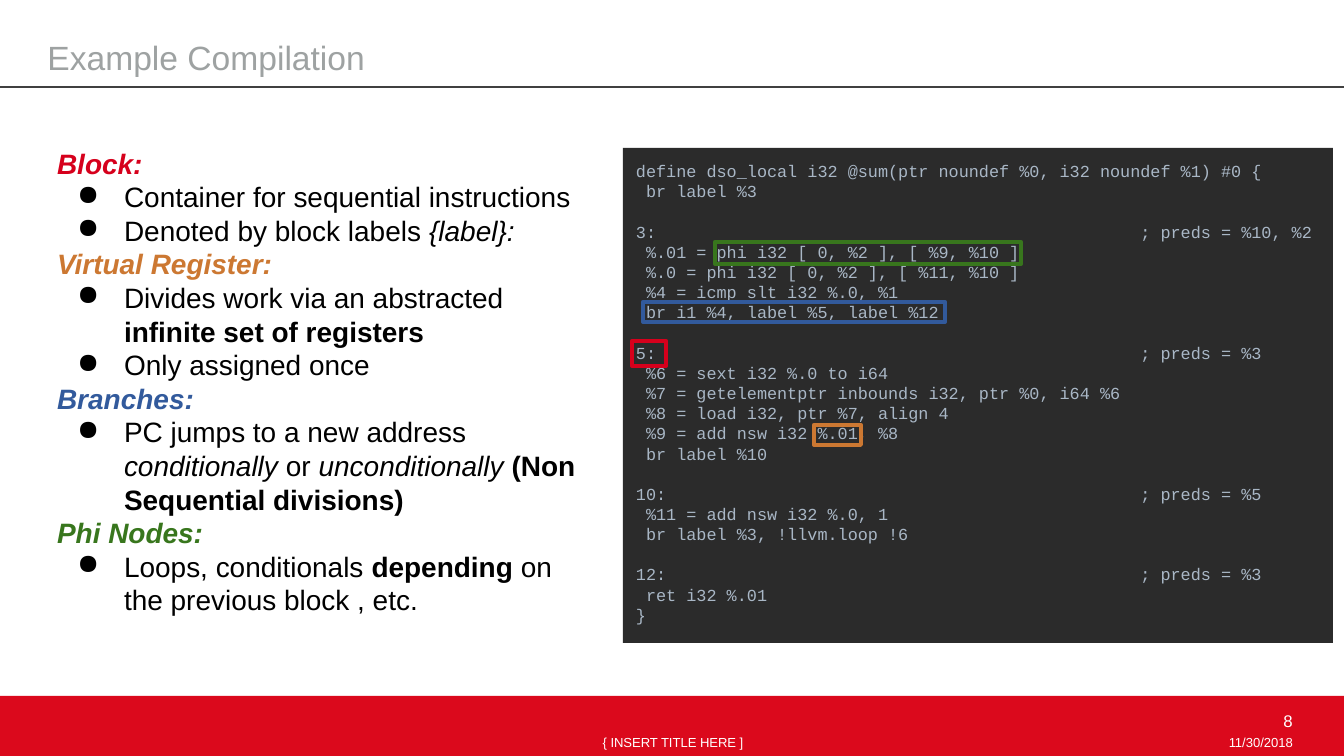
from lxml import etree
from pptx import Presentation
from pptx.dml.color import RGBColor
from pptx.enum.shapes import MSO_CONNECTOR, MSO_SHAPE
from pptx.enum.text import MSO_ANCHOR, MSO_AUTO_SIZE, PP_ALIGN
from pptx.oxml.ns import qn
from pptx.util import Pt

PX = 914400 / 134.4
LEFT, CENTER, RIGHT = PP_ALIGN.LEFT, PP_ALIGN.CENTER, PP_ALIGN.RIGHT
TOP = MSO_ANCHOR.TOP
NO_FIT = MSO_AUTO_SIZE.NONE
RECTANGLE = MSO_SHAPE.RECTANGLE
STRAIGHT = MSO_CONNECTOR.STRAIGHT

WHITE = RGBColor(0xFF, 0xFF, 0xFF)
BLACK = RGBColor(0x00, 0x00, 0x00)
GRAY = RGBColor(0x9E, 0xA2, 0xA2)
RULE = RGBColor(0x40, 0x40, 0x40)
FOOTER_RED = RGBColor(0xDB, 0x09, 0x1C)
RED = RGBColor(0xD6, 0x00, 0x1C)
ORANGE = RGBColor(0xCC, 0x78, 0x32)
BLUE = RGBColor(0x32, 0x5A, 0x9C)
GREEN = RGBColor(0x38, 0x76, 0x1D)
CODE_BACK = RGBColor(0x2B, 0x2B, 0x2B)
CODE_TEXT = RGBColor(0xA9, 0xB7, 0xC6)


def px(*values):
    return [round(value * PX) for value in values]


def write(para, text, size=15, color=BLACK, font="Arial", bold=False, italic=False):
    span = para.add_run()
    span.text = text
    span.font.size = Pt(size)
    span.font.name = font
    span.font.bold = bold
    span.font.italic = italic
    span.font.color.rgb = color


deck = Presentation()
deck.slide_width, deck.slide_height = px(1344, 756)
page = deck.slides.add_slide(deck.slide_layouts[5])
shapes = page.shapes

band = shapes.add_shape(RECTANGLE, *px(0, 696, 1344, 62))
band.shadow.inherit = False
band.fill.solid()
band.fill.fore_color.rgb = FOOTER_RED
band.line.fill.background()

for text, place, size, align in [
    ("11/30/2018", (993, 728, 313, 14), 7, RIGHT),
    ("{ INSERT TITLE HERE ]", (406, 728, 534, 46), 7, CENTER),
    ("8", (993, 704, 313, 14), 9, RIGHT),
]:
    box = shapes.add_textbox(*px(*place))
    box.text_frame.word_wrap = True
    para = box.text_frame.paragraphs[0]
    para.alignment = align
    write(para, text, size=size, color=WHITE)

rule = shapes.add_connector(STRAIGHT, *px(0, 87, 1344, 87))
rule.line.color.rgb = RULE
rule.line.width = Pt(0.75)
etree.SubElement(rule._element.spPr, qn("a:effectLst"))

title = shapes.title
title.left, title.top, title.width, title.height = px(34, 30, 1223, 58)
title.text_frame.vertical_anchor = TOP
title.text_frame.auto_size = NO_FIT
title.text_frame.paragraphs[0].alignment = LEFT
write(title.text_frame.paragraphs[0], "Example Compilation", size=18, color=GRAY)

code_lines = [
    "define dso_local i32 @sum(ptr noundef %0, i32 noundef %1) #0 {",
    " br label %3",
    "3:".ljust(50) + "; preds = %10, %2",
    " %.01 = phi i32 [ 0, %2 ], [ %9, %10 ]",
    " %.0 = phi i32 [ 0, %2 ], [ %11, %10 ]",
    " %4 = icmp slt i32 %.0, %1",
    " br i1 %4, label %5, label %12",
    "5:".ljust(50) + "; preds = %3",
    " %6 = sext i32 %.0 to i64",
    " %7 = getelementptr inbounds i32, ptr %0, i64 %6",
    " %8 = load i32, ptr %7, align 4",
    " %9 = add nsw i32 %.01, %8",
    " br label %10",
    "10:".ljust(50) + "; preds = %5",
    " %11 = add nsw i32 %.0, 1",
    " br label %3, !llvm.loop !6",
    "12:".ljust(50) + "; preds = %3",
    " ret i32 %.01",
    "}",
]
listing = shapes.add_shape(RECTANGLE, *px(623, 148, 710, 495))
listing.shadow.inherit = False
listing.fill.solid()
listing.fill.fore_color.rgb = CODE_BACK
listing.line.fill.background()

notes = [
    ("Block:", RED, [
        [("Container for sequential instructions", {})],
        [("Denoted by block labels ", {}), ("{label}:", {"italic": True})],
    ]),
    ("Virtual Register:", ORANGE, [
        [("Divides work via an abstracted ", {}),
         ("infinite set of registers", {"bold": True})],
        [("Only assigned once", {})],
    ]),
    ("Branches:", BLUE, [
        [("PC jumps to a new address ", {}),
         ("conditionally ", {"italic": True}),
         ("or ", {}),
         ("unconditionally ", {"italic": True}),
         ("(Non Sequential divisions)", {"bold": True})],
    ]),
    ("Phi Nodes:", GREEN, [
        [("Loops, conditionals ", {}),
         ("depending ", {"bold": True}),
         ("on the previous block , etc.", {})],
    ]),
]
glossary = shapes.add_textbox(*px(44, 133, 548, 524))

for box in (listing, glossary):
    frame = box.text_frame
    frame.word_wrap = True
    frame.vertical_anchor = TOP
    frame.margin_left, frame.margin_top, frame.margin_right, frame.margin_bottom = px(13, 13, 13, 13)

frame = listing.text_frame
for index, line in enumerate(code_lines):
    para = frame.add_paragraph() if index else frame.paragraphs[0]
    para.alignment = LEFT
    para.line_spacing = Pt(10.8)
    if line[0].isdigit():
        para.space_before = Pt(10.8)
    write(para, line, size=9, color=CODE_TEXT, font="Courier New")

frame = glossary.text_frame
for index, (term, color, bullets) in enumerate(notes):
    para = frame.add_paragraph() if index else frame.paragraphs[0]
    para.line_spacing = Pt(18)
    write(para, term, color=color, bold=True, italic=True)
    for spans in bullets:
        para = frame.add_paragraph()
        para.line_spacing = Pt(18)
        margin, indent = px(67, -47)
        props = para._p.get_or_add_pPr()
        props.set("marL", str(margin))
        props.set("indent", str(indent))
        bullet_color = etree.SubElement(props, qn("a:buClr"))
        etree.SubElement(bullet_color, qn("a:srgbClr"), val=str(BLACK))
        etree.SubElement(props, qn("a:buChar"), char="●")
        for text, style in spans:
            write(para, text, **style)

for color, place in [
    (RED, (632, 341, 34, 25)),
    (ORANGE, (814, 425, 47, 20)),
    (BLUE, (643, 302, 302, 20)),
    (GREEN, (715, 242, 306, 22)),
]:
    marker = shapes.add_shape(RECTANGLE, *px(*place))
    marker.shadow.inherit = False
    marker.fill.background()
    marker.line.color.rgb = color
    marker.line.width = Pt(2.25)

deck.save("out.pptx")
